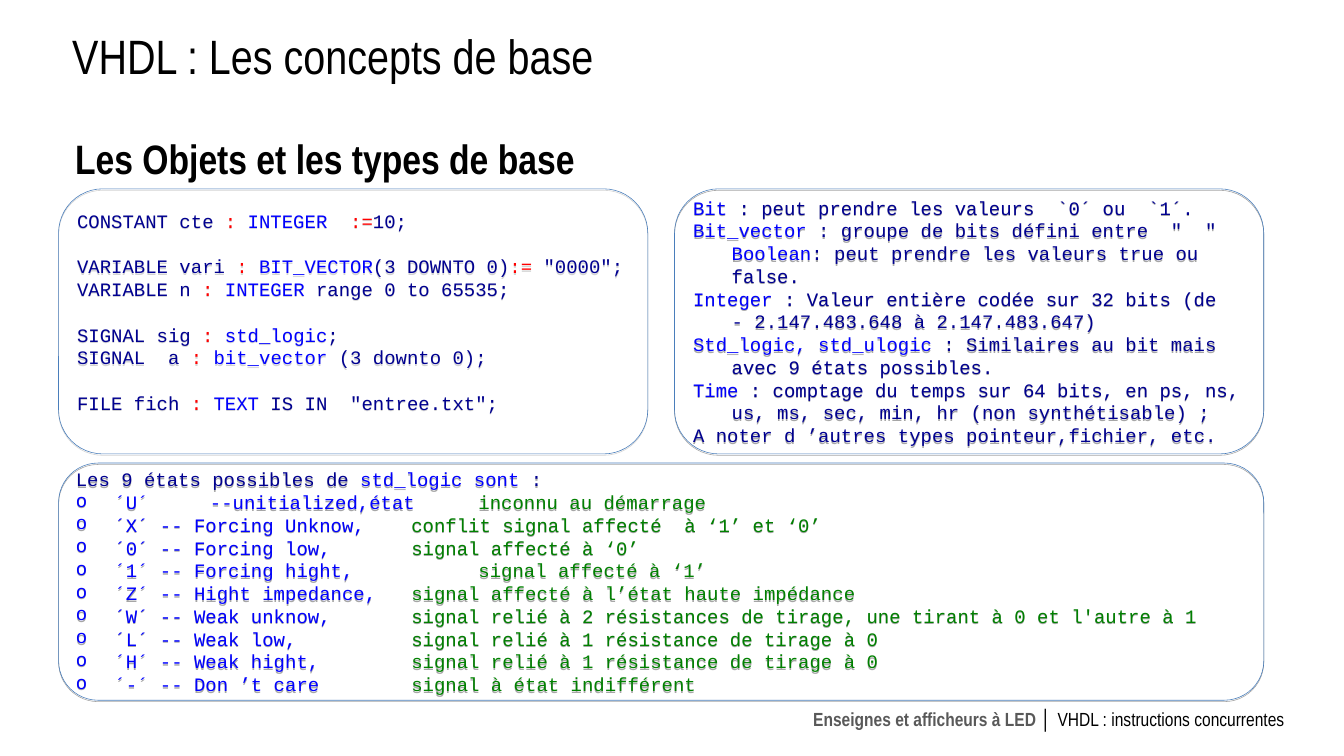
from dataclasses import dataclass
from lxml import etree
from pptx import Presentation
from pptx.dml.color import RGBColor as RGB
from pptx.enum.shapes import MSO_SHAPE as Shape
from pptx.enum.text import MSO_ANCHOR as Anchor, MSO_AUTO_SIZE as AutoSize, PP_ALIGN as Align
from pptx.oxml.ns import qn
from pptx.util import Inches, Pt


@dataclass(frozen=True)
class Theme:
    navy: str = "000090"
    blue: str = "0000FF"
    red: str = "FF0000"
    green: str = "008000"
    black: str = "000000"
    gray: str = "595959"
    outline: str = "4A7EBB"
    code_shadow: str = "808080"
    sans: str = "Arial"
    narrow: str = "Arial Narrow"
    mono: str = "Courier New"
    title_size: float = 61
    heading_size: float = 52
    body_size: float = 24
    line_pitch: float = 28.8


theme = Theme()
NAVY, BLUE, RED, GREEN = theme.navy, theme.blue, theme.red, theme.green

# Content
TITLE = "VHDL : Les concepts de base"
HEADING = "Les Objets et les types de base"
FOOTER = [
    ("Enseignes et afficheurs à LED ", theme.gray, theme.narrow, True),
    ("│ ", theme.black, theme.sans, True),
    ("VHDL : instructions concurrentes", theme.black, theme.narrow, False),
]
# Each group of declarations is set apart by one line of space
DECLARATIONS = [
    [[("CONSTANT cte ", NAVY), (": ", RED), ("INTEGER  ", BLUE), (":=", RED), ("10;", NAVY)]],
    [[("VARIABLE vari ", NAVY), (": ", RED), ("BIT_VECTOR", BLUE), ("(3 DOWNTO 0)", NAVY),
      (":=", RED), (' "0000";', NAVY)],
     [("VARIABLE n ", NAVY), (": ", RED), ("INTEGER", BLUE), (" range 0 to 65535;", NAVY)]],
    [[("SIGNAL sig ", NAVY), (": ", RED), ("std_logic", BLUE), (";", NAVY)],
     [("SIGNAL  a ", NAVY), (": ", RED), ("bit_vector ", BLUE), ("(3 downto 0);", NAVY)]],
    [[("FILE fich ", NAVY), (": ", RED), ("TEXT", BLUE), (' IS IN  "entree.txt";', NAVY)]],
]
TYPES = [
    [("Bit", BLUE), (" : peut prendre les valeurs  `0´ ou  `1´.", NAVY)],
    [("Bit_vector", BLUE), (' : groupe de bits défini entre  "  " ', NAVY),
     ("Boolean", BLUE), (": peut prendre les valeurs true ou false.", NAVY)],
    [("Integer ", BLUE),
     (": Valeur entière codée sur 32 bits (de  - 2.147.483.648 à 2.147.483.647)", NAVY)],
    [("Std_logic, std_ulogic ", BLUE),
     (": Similaires au bit mais avec 9 états possibles.", NAVY)],
    [("Time", BLUE),
     (" : comptage du temps sur 64 bits, en ps, ns, us, ms, sec, min, hr (non synthétisable) ;",
      NAVY)],
    [("A noter d ’autres types pointeur,fichier, etc.", NAVY)],
]
STATES_INTRO = [("Les 9 états possibles de ", NAVY), ("std_logic sont", BLUE), (" :", NAVY)]
STATES = [
    ("´U´ \t--unitialized,état \t", "inconnu au démarrage"),
    ("´X´ -- Forcing Unknow, \t", "conflit signal affecté  à ‘1’ et ‘0’"),
    ("´0´ -- Forcing low, \t\t", "signal affecté à ‘0’"),
    ("´1´ -- Forcing hight, \t\t", "signal affecté à ‘1’"),
    ("´Z´ -- Hight impedance, \t", "signal affecté à l’état haute impédance"),
    ("´W´ -- Weak unknow,\t\t",
     "signal relié à 2 résistances de tirage, une tirant à 0 et l'autre à 1"),
    ("´L´ -- Weak low, \t\t", "signal relié à 1 résistance de tirage à 0"),
    ("´H´ -- Weak hight, \t\t", "signal relié à 1 résistance de tirage à 0"),
    ("´-´ -- Don ’t care \t\t", "signal à état indifférent"),
]

# Layout, in inches
LEFT, TOP = 1.03, 3.32
BOX_WIDTH, BOX_HEIGHT, STATES_HEIGHT = 10.36, 4.66, 4.17
COLUMN_GAP, ROW_GAP = 0.47, 0.16
HANGING = 0.68
TAB_STEP = 1.18
TABS = [0.5, 0.75] + [TAB_STEP * step for step in range(1, 7)]


def style(span, color, size=theme.body_size, font=theme.mono, bold=False):
    span.font.name, span.font.size, span.font.bold = font, Pt(size), bold
    span.font.color.rgb = RGB.from_string(color)


def add_spans(para, spans):
    for text, *look in spans:
        span = para.add_run()
        span.text = text
        style(span, *look)


def set_margins(frame, horizontal, vertical):
    frame.word_wrap, frame.auto_size = True, AutoSize.NONE
    frame.vertical_anchor = Anchor.TOP
    frame.margin_left = frame.margin_right = Inches(horizontal)
    frame.margin_top = frame.margin_bottom = Inches(vertical)


def format_para(para, hanging=False, bullet=False):
    props = para._p.get_or_add_pPr()
    if hanging:
        props.set("marL", str(Inches(HANGING)))
        props.set("indent", str(-Inches(HANGING)))
    if bullet:
        color = etree.SubElement(props, qn("a:buClr"))
        etree.SubElement(color, qn("a:srgbClr"), val=BLUE)
        etree.SubElement(props, qn("a:buFont"), typeface=theme.mono)
        etree.SubElement(props, qn("a:buChar"), char="o")
    tabs = etree.SubElement(props, qn("a:tabLst"))
    for stop in TABS if bullet else [0] + TABS[:-1]:
        etree.SubElement(tabs, qn("a:tab"), pos=str(Inches(stop)), algn="l")


def add_shadow(box, color):
    box.shadow.inherit = False
    effects = box._element.spPr.find(qn("a:effectLst"))
    shadow = etree.SubElement(effects, qn("a:outerShdw"), blurRad="0", dist=str(Pt(1.8)),
                              dir="5400000", rotWithShape="0")
    tint = etree.SubElement(shadow, qn("a:srgbClr"), val=color)
    etree.SubElement(tint, qn("a:alpha"), val="35000")


def add_box(slide, left, top, width, height, shadow, lines):
    """Add a rounded box; lines holds (spans, hanging, bullet, points before)."""
    box = slide.shapes.add_shape(Shape.ROUNDED_RECTANGLE, Inches(left), Inches(top),
                                 Inches(width), Inches(height))
    box.fill.background()
    box.line.color.rgb = RGB.from_string(theme.outline)
    box.line.width = Pt(0.75)
    add_shadow(box, shadow)
    frame = box.text_frame
    frame.word_wrap, frame.vertical_anchor = True, Anchor.MIDDLE
    for index, (spans, hanging, bullet, before) in enumerate(lines):
        para = frame.add_paragraph() if index else frame.paragraphs[0]
        format_para(para, hanging, bullet)
        para.alignment, para.space_before = Align.LEFT, Pt(before)
        add_spans(para, spans)
    return box


def main():
    deck = Presentation()
    deck.slide_width, deck.slide_height = Inches(23.63), Inches(13.29)
    slide = deck.slides.add_slide(deck.slide_layouts[5])

    # Title
    title = slide.shapes.title
    title.left, title.top = Inches(LEFT), Inches(0.35)
    title.width, title.height = Inches(20.01), Inches(1.61)
    set_margins(title.text_frame, 0.24, 0.12)
    title.text_frame.text = TITLE
    para = title.text_frame.paragraphs[0]
    para.alignment = Align.LEFT
    style(para.runs[0], theme.black, theme.title_size, theme.narrow)

    # Heading
    heading = slide.shapes.add_textbox(Inches(0.76), Inches(2.35), Inches(13.08), Inches(1.18))
    set_margins(heading.text_frame, 0, 0)
    heading.text_frame.margin_left = Inches(0.56)
    heading.text_frame.text = HEADING
    style(heading.text_frame.paragraphs[0].runs[0], theme.black, theme.heading_size,
          theme.narrow, True)

    # Declarations
    declarations = [(spans, False, False, theme.line_pitch if group and not row else 0)
                    for group, rows in enumerate(DECLARATIONS) for row, spans in enumerate(rows)]
    box = add_box(slide, LEFT, TOP, BOX_WIDTH, BOX_HEIGHT, theme.code_shadow, declarations)
    box.text_frame.margin_bottom = Inches(0.39)

    # Types
    types = [(spans, index > 0, False, 0) for index, spans in enumerate(TYPES)]
    add_box(slide, LEFT + BOX_WIDTH + COLUMN_GAP, TOP, BOX_WIDTH, BOX_HEIGHT, theme.black, types)

    # States of std_logic
    states = [(STATES_INTRO, True, False, 0)]
    states += [([(state, BLUE), (meaning, GREEN)], True, True, 0) for state, meaning in STATES]
    add_box(slide, LEFT, TOP + BOX_HEIGHT + ROW_GAP, 2 * BOX_WIDTH + COLUMN_GAP, STATES_HEIGHT,
            theme.black, states)

    # Footer
    footer = slide.shapes.add_textbox(Inches(13.82), Inches(12.31), Inches(9), Inches(0.67))
    set_margins(footer.text_frame, 0.24, 0.12)
    para = footer.text_frame.paragraphs[0]
    para.alignment = Align.RIGHT
    add_spans(para, [(text, color, theme.body_size, font, bold)
                     for text, color, font, bold in FOOTER])

    deck.save("out.pptx")


if __name__ == "__main__":
    main()
